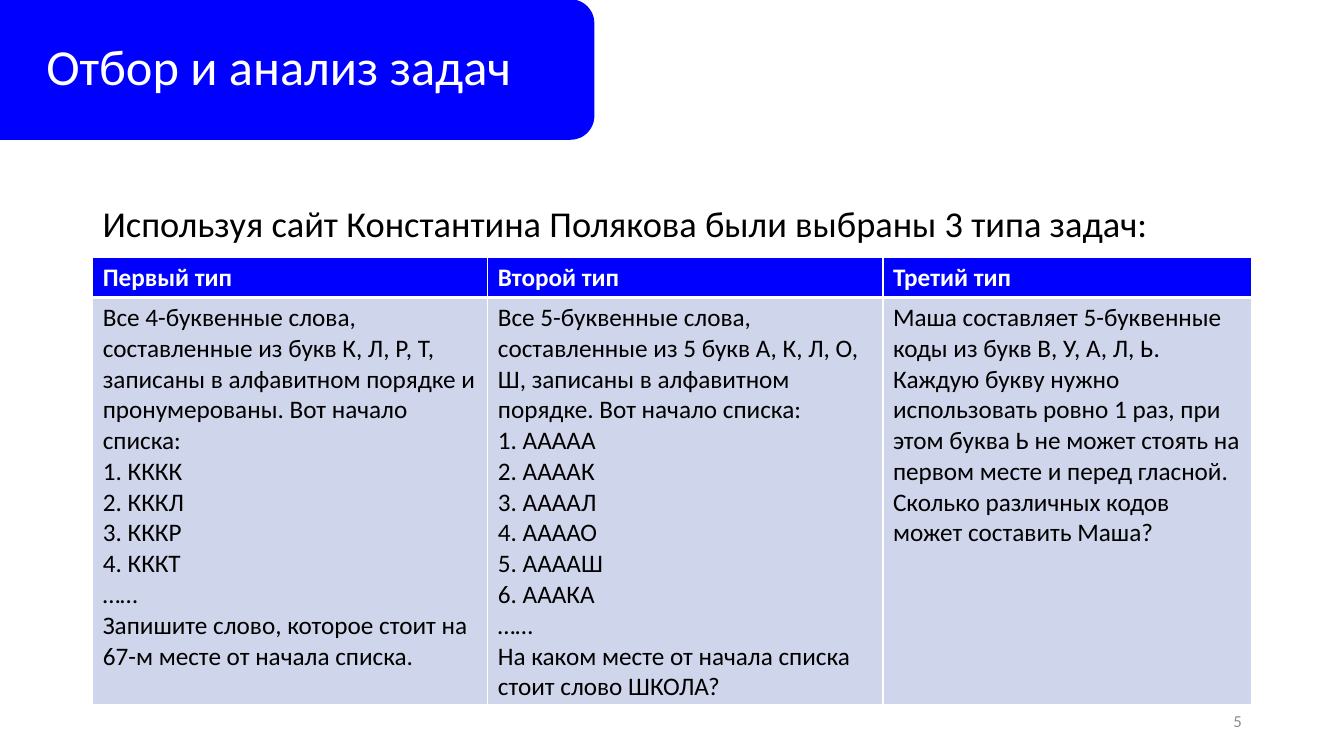
from lxml.etree import SubElement
from pptx import Presentation
from pptx.dml.color import RGBColor
from pptx.enum.shapes import MSO_SHAPE
from pptx.enum.text import MSO_ANCHOR, PP_ALIGN
from pptx.oxml.ns import qn
from pptx.util import Pt

HEADING = "Отбор и анализ задач"
INTRO = "Используя сайт Константина Полякова были выбраны 3 типа задач:"
PAGE = "5"
TASKS = [
    ("Первый тип", [
        "Все 4-буквенные слова, составленные из букв К, Л, Р, Т, записаны в "
        "алфавитном порядке и пронумерованы. Вот начало списка:",
        "1. КККК", "2. КККЛ", "3. КККР", "4. КККТ", "……",
        "Запишите слово, которое стоит на 67-м месте от начала списка.",
    ]),
    ("Второй тип", [
        "Все 5-буквенные слова, составленные из 5 букв А, К, Л, О, Ш, записаны "
        "в алфавитном порядке. Вот начало списка:",
        "1. ААААА", "2. ААААК", "3. ААААЛ", "4. ААААО", "5. ААААШ", "6. АААКА", "……",
        "На каком месте от начала списка стоит слово ШКОЛА?",
    ]),
    ("Третий тип", [
        "Маша составляет 5-буквенные коды из букв В, У, А, Л, Ь. Каждую букву "
        "нужно использовать ровно 1 раз, при этом буква Ь не может стоять на "
        "первом месте и перед гласной. Сколько различных кодов может составить Маша?",
    ]),
]
BLUE, PALE, WHITE, BLACK, GREY = "0000FF", "CFD5EA", "FFFFFF", "000000", "8C8C8C"
LEFT, WIDTH = 66.24, 828
COLUMNS = [282.24, 282.24, 263.52]
ROWS = [29, 291]


def color(value):
    return RGBColor.from_string(value)


def write(frame, text, size=18, ink=BLACK, bold=False, align=PP_ALIGN.LEFT,
          anchor=MSO_ANCHOR.TOP, spacing=1.0):
    frame.word_wrap = True
    frame.vertical_anchor = anchor
    paragraph = frame.paragraphs[0]
    paragraph.text = text
    paragraph.alignment = align
    paragraph.line_spacing = spacing
    for run in paragraph.runs:
        run.font.name = "Calibri"
        run.font.size = Pt(size)
        run.font.bold = bold
        run.font.color.rgb = color(ink)


def paint_cell(cell, fill, top, bottom):
    properties = cell._tc.get_or_add_tcPr()
    for side, weight in (("L", 1), ("R", 1), ("T", top), ("B", bottom)):
        border = SubElement(properties, qn(f"a:ln{side}"), w=str(Pt(weight)))
        SubElement(SubElement(border, qn("a:solidFill")), qn("a:srgbClr"), val=WHITE)
    cell.fill.solid()
    cell.fill.fore_color.rgb = color(fill)


deck = Presentation()
deck.slide_width, deck.slide_height = Pt(960), Pt(540)
slide = deck.slides.add_slide(deck.slide_layouts[5])
shapes = slide.shapes

banner = shapes.add_shape(MSO_SHAPE.ROUNDED_RECTANGLE, Pt(-25.2), Pt(0), Pt(449.28), Pt(99.36))
banner.shadow.inherit = False
banner.fill.solid()
banner.fill.fore_color.rgb = color(BLUE)
banner.line.color.rgb = color(BLUE)
banner.line.width = Pt(1)

heading = shapes.title
heading.left, heading.top, heading.width, heading.height = Pt(25.92), Pt(9.36), Pt(373.68), Pt(79.92)
write(heading.text_frame, HEADING, size=36, ink=WHITE, anchor=MSO_ANCHOR.MIDDLE, spacing=0.9)
shapes._spTree.append(heading._element)

intro = shapes.add_textbox(Pt(LEFT), Pt(144), Pt(WIDTH), Pt(38))
write(intro.text_frame, INTRO, size=26, spacing=0.9)

page = shapes.add_textbox(Pt(678.24), Pt(500.4), Pt(216), Pt(28.8))
write(page.text_frame, PAGE, size=12, ink=GREY, align=PP_ALIGN.RIGHT, anchor=MSO_ANCHOR.MIDDLE)

tasks = shapes.add_table(2, len(TASKS), Pt(LEFT), Pt(183.6), Pt(WIDTH), Pt(sum(ROWS))).table
for row, height in zip(tasks.rows, ROWS):
    row.height = Pt(height)
for index, (kind, lines) in enumerate(TASKS):
    tasks.columns[index].width = Pt(COLUMNS[index])
    header, body = tasks.cell(0, index), tasks.cell(1, index)
    paint_cell(header, BLUE, top=1, bottom=3)
    paint_cell(body, PALE, top=3, bottom=1)
    write(header.text_frame, kind, ink=WHITE, bold=True)
    write(body.text_frame, "\v".join(lines))

deck.save("out.pptx")
